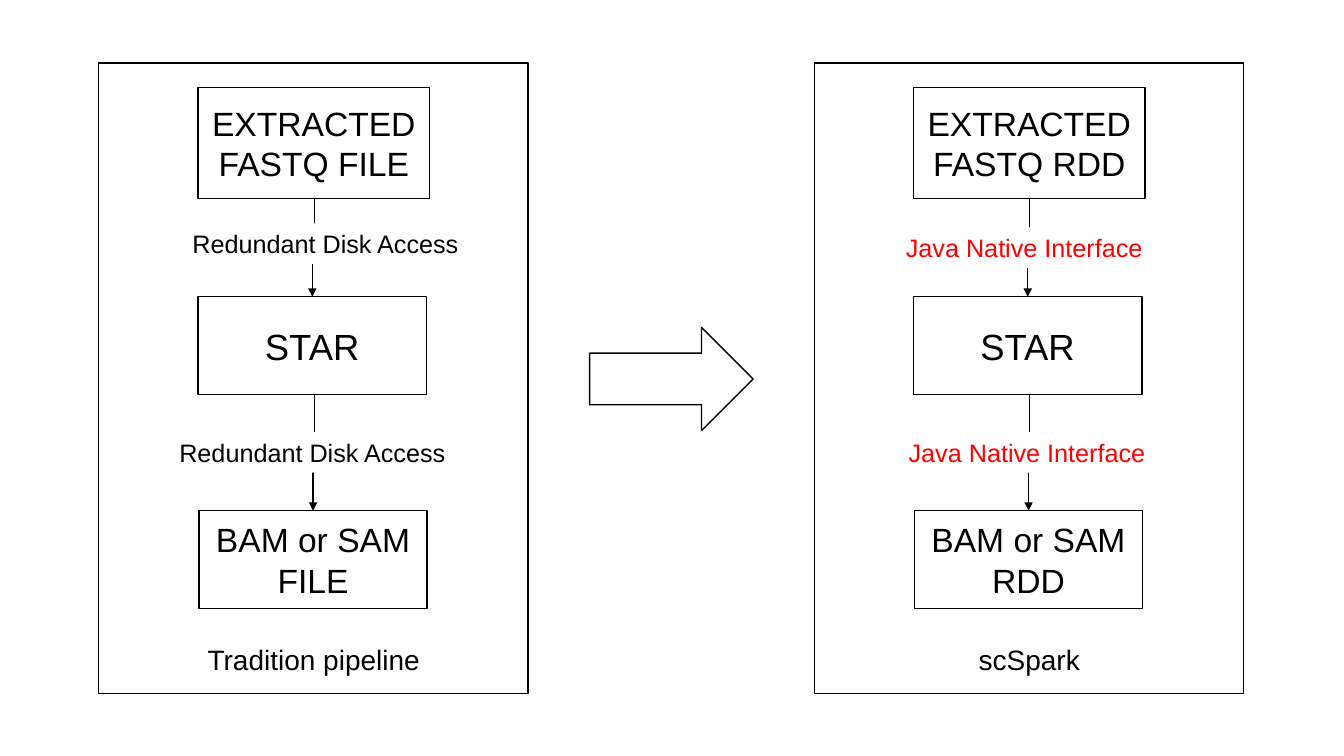
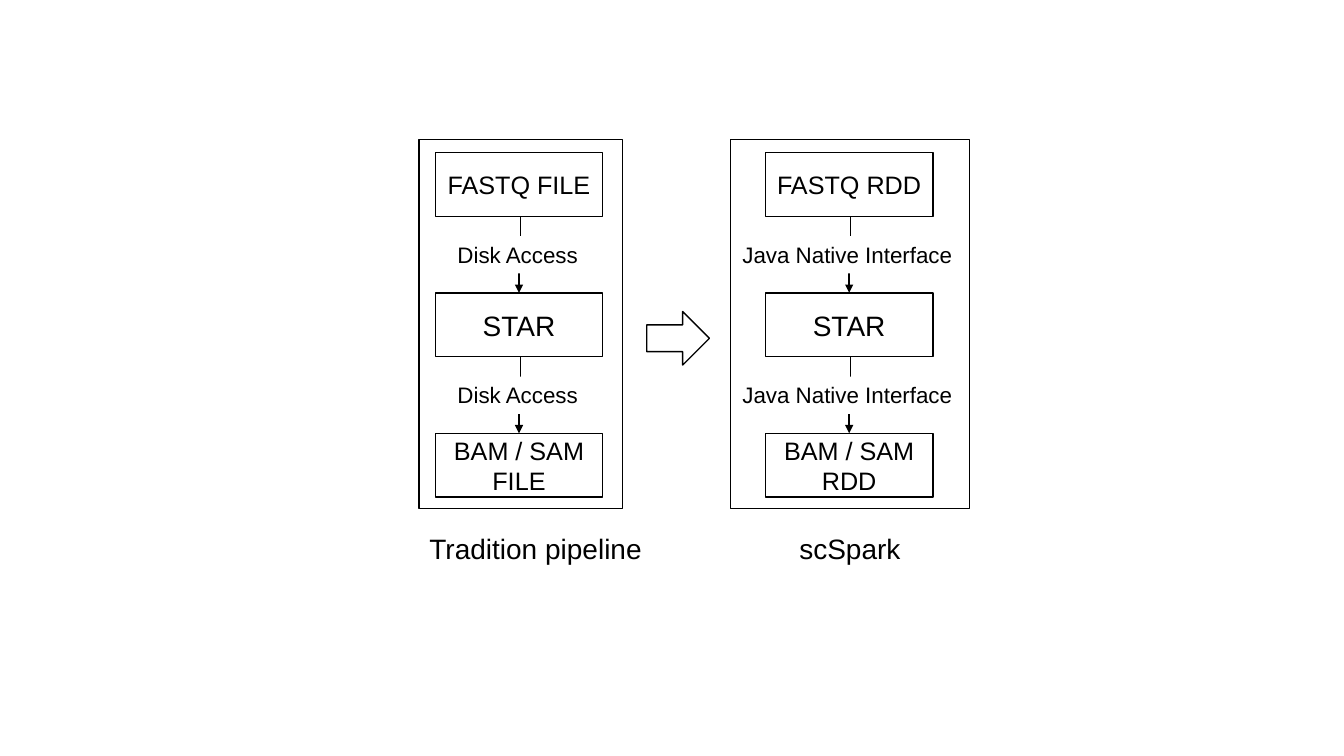
import pptx
import pptx.util
import pptx.dml.color
import pptx.enum.shapes
import pptx.enum.text
import pptx.oxml.ns
import lxml.etree

Cm = pptx.util.Cm
Pt = pptx.util.Pt
SHAPE = pptx.enum.shapes.MSO_SHAPE
ALIGN = pptx.enum.text.PP_ALIGN
ANCHOR = pptx.enum.text.MSO_ANCHOR

COLORS = {"paper": "FFFFFF", "ink": "000000", "highlight": "FF0000"}
FONT = "Arial"
LINE_WIDTH = Pt(1)


def color(name):
    return pptx.dml.color.RGBColor.from_string(COLORS[name])


def write(box, text, size, tone="ink", align=ALIGN.CENTER, wrap=True):
    frame = box.text_frame
    frame.word_wrap = wrap
    frame.text = text
    for paragraph in frame.paragraphs:
        paragraph.alignment = align
        for run in paragraph.runs:
            run.font.name = FONT
            run.font.size = Pt(size)
            run.font.color.rgb = color(tone)


def add_outline(slide, kind, left, top, width, height, outlined=True):
    outline = slide.shapes.add_shape(kind, Cm(left), Cm(top), Cm(width), Cm(height))
    outline.shadow.inherit = False
    outline.fill.solid()
    outline.fill.fore_color.rgb = color("paper")
    if outlined:
        outline.line.color.rgb = color("ink")
        outline.line.width = LINE_WIDTH
    else:
        outline.line.fill.background()
    return outline


def add_step(slide, left, top, width, height, text, size):
    step = add_outline(slide, SHAPE.RECTANGLE, left, top, width, height)
    step.text_frame.vertical_anchor = ANCHOR.MIDDLE
    write(step, text, size)


def add_link(slide, end_x, top, bottom, jog):
    middle_x, middle_y = end_x + jog / 2, (top + bottom) / 2
    half = (bottom - top) / 2
    link = slide.shapes.add_connector(
        pptx.enum.shapes.MSO_CONNECTOR.ELBOW,
        Cm(middle_x - half), Cm(middle_y - jog / 2),
        Cm(middle_x + half), Cm(middle_y + jog / 2))
    link.line.color.rgb = color("ink")
    link.line.width = LINE_WIDTH
    qn = pptx.oxml.ns.qn
    properties = link._element.spPr
    properties.find(qn("a:xfrm")).set("rot", "5400000")
    lxml.etree.SubElement(properties.find(qn("a:ln")), qn("a:tailEnd"), type="triangle")
    lxml.etree.SubElement(properties, qn("a:effectLst"))


def add_link_label(slide, left, top, width, height, text, size, tone):
    label = add_outline(slide, SHAPE.RECTANGLE, left, top, width, height, outlined=False)
    label.text_frame.vertical_anchor = ANCHOR.TOP
    write(label, text, size, tone, ALIGN.LEFT, wrap=False)
    label.text_frame.auto_size = pptx.enum.text.MSO_AUTO_SIZE.SHAPE_TO_FIT_TEXT


def add_caption(slide, left, top, width, text):
    caption = slide.shapes.add_textbox(Cm(left), Cm(top), Cm(width), Cm(1.12))
    write(caption, text, 20)
    caption.text_frame.auto_size = pptx.enum.text.MSO_AUTO_SIZE.SHAPE_TO_FIT_TEXT


def add_pipeline(slide, box, style, names, access, labels, caption, tone="ink", inset=None):
    left, top, width, height = box
    add_outline(slide, SHAPE.RECTANGLE, *box)
    steps = [(left + dx + (inset or 0), top + dy, w, h) for dx, dy, w, h in style["steps"]]
    for place, name, size in zip(steps, names, style["sizes"]):
        add_step(slide, *place, name, size)
    for source, target, jog, label in zip(steps, steps[1:], style["jogs"], labels):
        dx, dy, label_width = label
        add_link(slide, target[0] + target[2] / 2, source[1] + source[3], target[1], jog)
        add_link_label(slide, left + dx, top + dy, label_width, style["label_height"],
                       access, style["label_size"], tone)
    text, dx, caption_width = caption
    add_caption(slide, left + dx, top + style["caption_top"], caption_width, text)


def add_detailed_slide(slide):
    style = {
        "steps": [(2.5, 0.62, 5.84, 2.8), (2.5, 5.89, 5.76, 2.46), (2.53, 11.28, 5.74, 2.46)],
        "sizes": (24, 26, 24), "jogs": (0.05, 0.03),
        "label_height": 1.02, "label_size": 18, "caption_top": 14.48,
    }
    top, width, height = 1.59, 10.82, 15.88
    add_pipeline(slide, (2.49, top, width, height), style,
                 ("EXTRACTED\nFASTQ FILE", "STAR", "BAM or SAM FILE"),
                 "Redundant Disk Access", [(2.11, 4.04, 7.29), (1.78, 9.3, 7.29)],
                 ("Tradition pipeline", 2.18, 6.48))
    add_outline(slide, SHAPE.RIGHT_ARROW, 14.86, 8.25, 4.12, 2.6)
    add_pipeline(slide, (20.52, top, width, height), style,
                 ("EXTRACTED\nFASTQ RDD", "STAR", "BAM or SAM RDD"),
                 "Java Native Interface", [(2.06, 4.14, 6.71), (2.13, 9.3, 6.53)],
                 ("scSpark", 2.18, 6.48), tone="highlight")


def add_compact_slide(slide):
    pitch = 3.54
    style = {
        "steps": [(0.41, 0.33 + row * pitch, 4.22, 1.61) for row in range(3)],
        "sizes": (18, 20, 18), "jogs": (0.03, 0.03),
        "label_height": 0.94, "label_size": 16, "caption_top": 9.75,
    }
    top, height = 3.51, 9.3

    def label_rows(dx, width):
        return [(dx, 2.44 + row * pitch, width) for row in range(2)]

    add_pipeline(slide, (10.56, top, 5.13, height), style,
                 ("FASTQ FILE", "STAR", "BAM / SAM FILE"),
                 "Disk Access", label_rows(0.72, 3.58),
                 ("Tradition pipeline", -0.3, 6.48))
    add_outline(slide, SHAPE.RIGHT_ARROW, 16.3, 7.85, 1.58, 1.35)
    add_pipeline(slide, (18.41, top, 6.02, height), style,
                 ("FASTQ RDD", "STAR", "BAM / SAM RDD"),
                 "Java Native Interface", label_rows(0.05, 5.87),
                 ("scSpark", 1.12, 3.78), inset=0.47)


deck = pptx.Presentation()
deck.slide_width, deck.slide_height = Cm(33.87), Cm(19.05)
for build in (add_detailed_slide, add_compact_slide):
    build(deck.slides.add_slide(deck.slide_layouts[6]))
deck.save("out.pptx")
